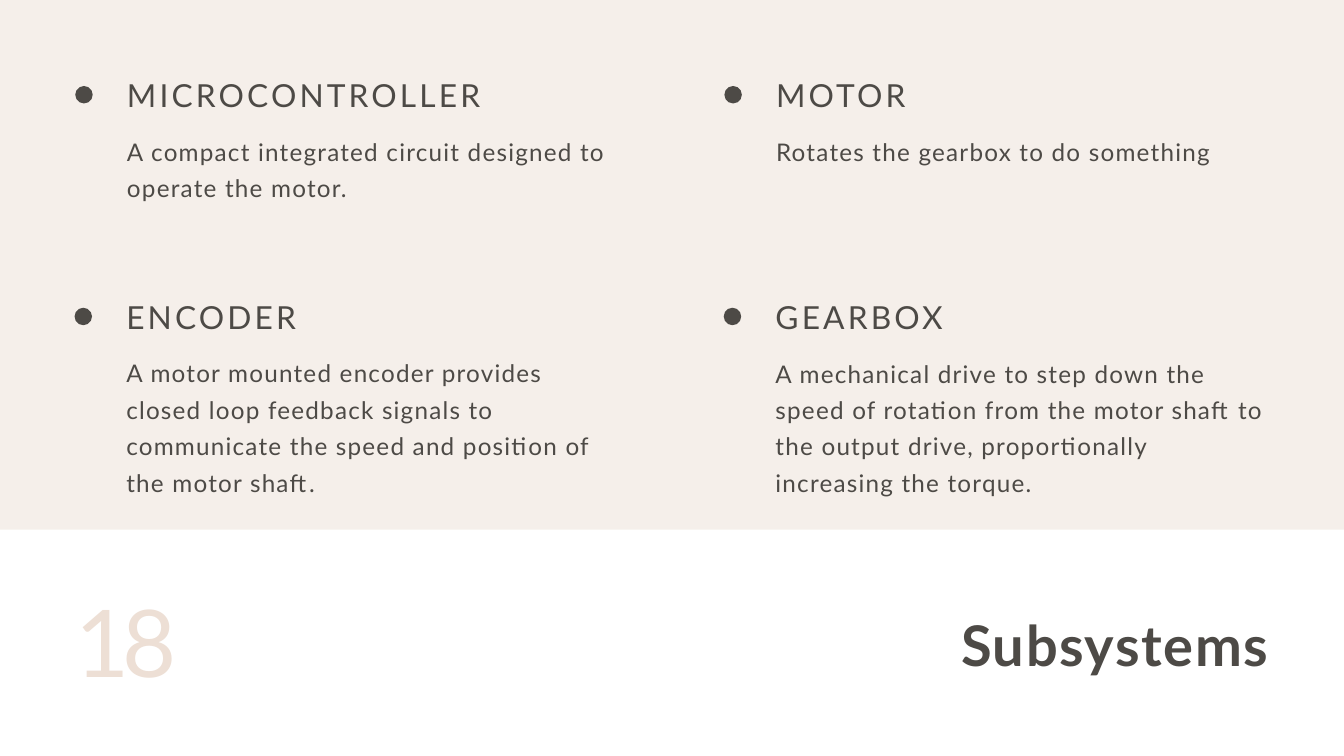
from lxml import etree
from pptx import Presentation
from pptx import util as u
from pptx.dml.color import RGBColor
from pptx.enum import shapes, text
from pptx.oxml.ns import qn

INK = RGBColor(0x4D, 0x4A, 0x46)
SAND = RGBColor(0xE4, 0xD4, 0xC5)
BLUSH = RGBColor(0xED, 0xDF, 0xD5)

HEADING = dict(size=34, line=40.8, tracking=3.4)
BODY = dict(size=26, line=39, tracking=1.3)
TITLE = dict(size=60, line=74.1, tracking=1.7, bold=True, align=text.PP_ALIGN.RIGHT)
NUMBER = dict(size=100, line=120, tracking=-8, color=BLUSH)

# left and top of each heading, heading, description, description height
SUBSYSTEMS = [
    (1.89, 1.13, "MICROCONTROLLER",
     "A compact integrated circuit designed to operate the motor.", 1.09),
    (11.55, 1.13, "MOTOR", "Rotates the gearbox to do something", 0.55),
    (1.88, 4.43, "ENCODER",
     "A motor mounted encoder provides closed loop feedback signals to "
     "communicate the speed and position of the motor shaft.", 1.64),
    (11.54, 4.43, "GEARBOX",
     "A mechanical drive to step down the speed of rotation from the motor "
     "shaft to the output drive, proportionally increasing the torque.", 2.19),
]


class Canvas:
    def __init__(self, slide, font="Lato"):
        self.slide = slide
        self.font = font

    def shape(self, kind, left, top, width, height, color, opacity=None):
        """Add a borderless filled shape; opacity is a percentage."""
        shape = self.slide.shapes.add_shape(
            kind, *map(u.Inches, (left, top, width, height)))
        shape.shadow.inherit = False
        shape.fill.solid()
        shape.fill.fore_color.rgb = color
        shape.line.fill.background()
        if opacity is not None:
            fill = shape._element.spPr.find(qn("a:solidFill"))
            etree.SubElement(fill[0], qn("a:alpha"), val=str(opacity * 1000))

    def label(self, words, left, top, width, height, size, line, tracking,
              bold=False, align=text.PP_ALIGN.LEFT, color=INK):
        """Add a text box without margins; line and tracking are in points."""
        box = self.slide.shapes.add_textbox(
            *map(u.Inches, (left, top, width, height)))
        frame = box.text_frame
        frame_format = dict(word_wrap=True, margin_left=0, margin_top=0,
                            margin_right=0, margin_bottom=0)
        for name, value in frame_format.items():
            setattr(frame, name, value)
        paragraph = frame.paragraphs[0]
        paragraph.alignment = align
        paragraph.line_spacing = u.Pt(line)
        run = paragraph.add_run()
        run.text = words
        for name, value in dict(name=self.font, size=u.Pt(size), bold=bold).items():
            setattr(run.font, name, value)
        run.font.color.rgb = color
        run._r.get_or_add_rPr().set("spc", str(round(tracking * 100)))

    def subsystem(self, left, top, heading, description, height):
        self.label(heading, left, top, 7.33, 0.58, **HEADING)
        self.label(description, left, top + 0.8, 7.33, height, **BODY)
        self.shape(shapes.MSO_SHAPE.OVAL, left - 0.77, top + 0.15, 0.26, 0.26, INK)


def main():
    presentation = Presentation()
    presentation.slide_width = u.Inches(20)
    presentation.slide_height = u.Inches(11.25)
    canvas = Canvas(presentation.slides.add_slide(presentation.slide_layouts[6]))

    canvas.label("Subsystems", 4.57, 9.06, 14.31, 1.04, **TITLE)
    canvas.shape(shapes.MSO_SHAPE.RECTANGLE, -0.38, -0.4, 20.74, 8.28, SAND, opacity=35)
    canvas.label("18", 1.13, 8.69, 2.5, 1.67, **NUMBER)
    for subsystem in SUBSYSTEMS:
        canvas.subsystem(*subsystem)

    presentation.save("out.pptx")


if __name__ == "__main__":
    main()
